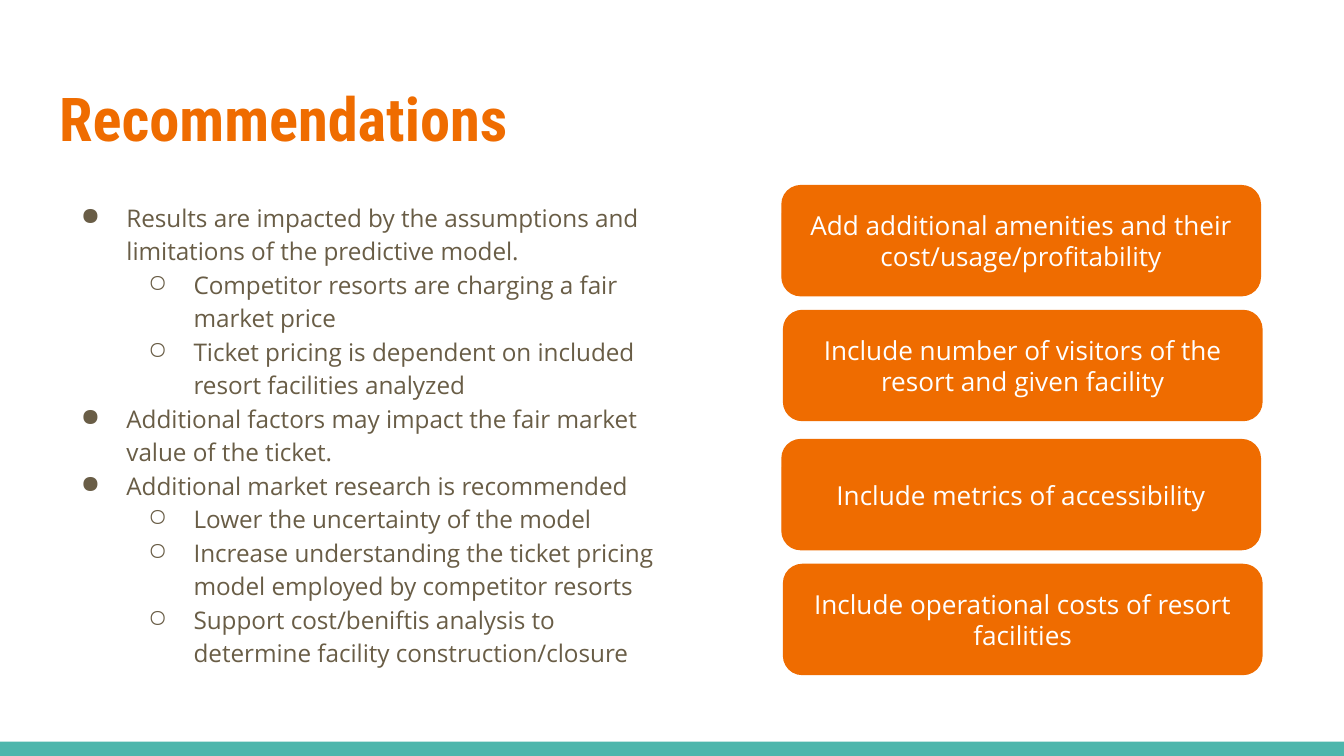
"""Build the Recommendations slide: a bulleted list beside four action cards."""
from lxml import etree
from pptx import Presentation
from pptx.dml.color import RGBColor
from pptx.enum import shapes, text
from pptx.oxml import ns
from pptx.util import Cm, Pt

ORANGE = RGBColor(0xEF, 0x6C, 0x00)
TEAL = RGBColor(0x4D, 0xB6, 0xAC)
BROWN = RGBColor(0x69, 0x5D, 0x46)
WHITE = RGBColor(0xFF, 0xFF, 0xFF)

TITLE = "Recommendations"
FINDINGS = [
    (0, "Results are impacted by the assumptions and limitations of the predictive model."),
    (1, "Competitor resorts are charging a fair market price"),
    (1, "Ticket pricing is dependent on included resort facilities analyzed"),
    (0, "Additional factors may impact the fair market value of the ticket."),
    (0, "Additional market research is recommended"),
    (1, "Lower the uncertainty of the model"),
    (1, "Increase understanding the ticket pricing model employed by competitor resorts"),
    (1, "Support cost/beniftis analysis to determine facility construction/closure"),
]
CARDS = [
    (14.78, 3.51, "Add additional amenities and their cost/usage/profitability"),
    (14.81, 5.87, "Include number of visitors of the resort and given facility"),
    (14.78, 8.31, "Include metrics of accessibility"),
    (14.81, 10.67, "Include operational costs of resort facilities"),
]
CARD_WIDTH, CARD_HEIGHT = 9.04, 2.08
BULLETS = "●○"
INDENT, HANGING = 1.27, 0.86
INSET = Cm(0.25)

TITLE_FONT = {"name": "Roboto Condensed", "size": Pt(32.4), "bold": True}
BODY_FONT = {"name": "Open Sans", "size": Pt(13)}
CARD_FONT = {"name": "Open Sans", "size": Pt(14)}


def set_values(target, values):
    for name, value in values.items():
        setattr(target, name, value)


def prepare_frame(shape, anchor):
    set_values(shape.text_frame, {
        "word_wrap": True, "vertical_anchor": anchor,
        "margin_left": INSET, "margin_right": INSET,
        "margin_top": INSET, "margin_bottom": INSET,
    })
    return shape.text_frame


def write(paragraph, content, font, color):
    run = paragraph.add_run()
    run.text = content
    set_values(run.font, font)
    run.font.color.rgb = color


def add_bullet(paragraph, level):
    paragraph.level = level
    properties = paragraph._p.get_or_add_pPr()
    properties.set("marL", str(Cm(INDENT * (level + 1))))
    properties.set("indent", str(-Cm(HANGING)))
    color = etree.SubElement(properties, ns.qn("a:buClr"))
    etree.SubElement(color, ns.qn("a:srgbClr"), val=str(BROWN))
    etree.SubElement(properties, ns.qn("a:buChar"), char=BULLETS[level])


def add_filled(slide, kind, box, color):
    shape = slide.shapes.add_shape(kind, *map(Cm, box))
    shape.shadow.inherit = False
    shape.fill.solid()
    shape.fill.fore_color.rgb = color
    return shape


def add_card(slide, left, top, content):
    box = (left, top, CARD_WIDTH, CARD_HEIGHT)
    card = add_filled(slide, shapes.MSO_SHAPE.ROUNDED_RECTANGLE, box, ORANGE)
    card.adjustments[0] = 0.17
    card.line.color.rgb = ORANGE
    card.line.width = Pt(0.75)
    paragraph = prepare_frame(card, text.MSO_ANCHOR.MIDDLE).paragraphs[0]
    paragraph.alignment = text.PP_ALIGN.CENTER
    write(paragraph, content, CARD_FONT, WHITE)


def add_findings(slide):
    body = slide.shapes.add_textbox(Cm(0.87), Cm(3.51), Cm(11.84), Cm(9.83))
    frame = prepare_frame(body, text.MSO_ANCHOR.TOP)
    for index, (level, content) in enumerate(FINDINGS):
        paragraph = frame.add_paragraph() if index else frame.paragraphs[0]
        paragraph.line_spacing = 1.15
        add_bullet(paragraph, level)
        write(paragraph, content, BODY_FONT, BROWN)


def main():
    presentation = Presentation()
    presentation.slide_width, presentation.slide_height = Cm(25.4), Cm(14.29)
    slide = presentation.slides.add_slide(presentation.slide_layouts[6])
    slide.background.fill.solid()
    slide.background.fill.fore_color.rgb = WHITE

    bar = add_filled(slide, shapes.MSO_SHAPE.RECTANGLE, (0, 14.02, 25.4, 0.27), TEAL)
    bar.line.fill.background()
    title = slide.shapes.add_textbox(Cm(0.87), Cm(1.24), Cm(23.67), Cm(1.96))
    frame = prepare_frame(title, text.MSO_ANCHOR.MIDDLE)
    write(frame.paragraphs[0], TITLE, TITLE_FONT, ORANGE)
    add_findings(slide)
    for left, top, content in CARDS:
        add_card(slide, left, top, content)
    presentation.save("out.pptx")


if __name__ == "__main__":
    main()
